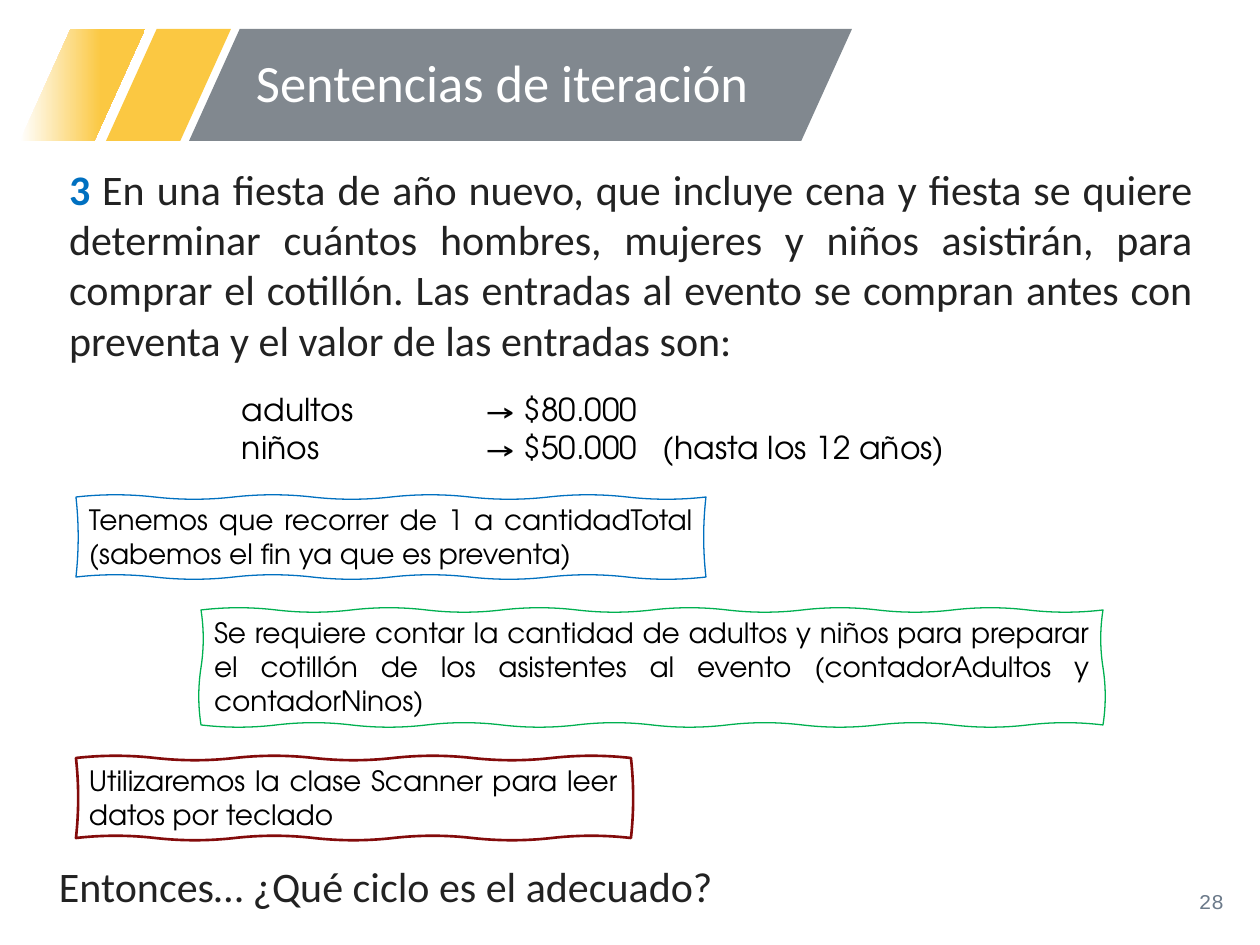
"""Builds the slide on iteration statements."""
from lxml import etree
from pptx import Presentation
from pptx.dml.color import RGBColor
from pptx.enum.shapes import MSO_SHAPE
from pptx.enum.text import MSO_ANCHOR, PP_ALIGN
from pptx.oxml.ns import qn
from pptx.util import Pt

PX = 914400 / 126
PARALLELOGRAM = MSO_SHAPE.PARALLELOGRAM
TOP, MIDDLE = MSO_ANCHOR.TOP, MSO_ANCHOR.MIDDLE
LEFT, RIGHT, JUSTIFY = PP_ALIGN.LEFT, PP_ALIGN.RIGHT, PP_ALIGN.JUSTIFY
SANS, GEOMETRIC, MONO = "Calibri", "TeX Gyre Adventor", "Courier New"
COLORS = {
    "gold": "FBC842", "gray": "81888F", "white": "FFFFFF", "number": "6C7A8A",
    "text": "222222", "black": "000000", "blue": "0070C0", "green": "00B050",
    "red": "830B0B",
}
NOTES = [
    ((76, 497, 630, 80), "blue", 0.75,
     "Tenemos que recorrer de 1 a cantidadTotal (sabemos el fin ya que es preventa)"),
    ((201, 610, 902, 115), "green", 0.75,
     "Se requiere contar la cantidad de adultos y niños para preparar el cotillón "
     "de los asistentes al evento (contadorAdultos y contadorNinos)"),
    ((76, 758, 555, 80), "red", 1.5,
     "Utilizaremos la clase Scanner para leer datos por teclado"),
]
PRICES = ["\tadultos\t→ $80.000", "\tniños\t→ $50.000\t(hasta los 12 años)"]
PRICE_TABS = [173, 416, 594]


def px(value):
    """Turn pixels into EMU."""
    return round(value * PX)


def color(name):
    """Look up a named colour."""
    return RGBColor.from_string(COLORS[name])


def style(target, font, size, name, bold=False):
    """Format a run or a paragraph."""
    target.font.name = font
    target.font.size = Pt(size)
    target.font.color.rgb = color(name)
    target.font.bold = bold


def set_frame(frame, anchor):
    """Set wrapping, anchor and margins of a text frame."""
    frame.word_wrap = True
    frame.vertical_anchor = anchor
    frame.margin_left = frame.margin_right = px(13)
    frame.margin_top = frame.margin_bottom = px(6)


def add_text(page, place, text, font, size, name, align=LEFT, anchor=TOP):
    """Add a text box with one paragraph and return both."""
    box = page.shapes.add_textbox(*map(px, place))
    set_frame(box.text_frame, anchor)
    para = box.text_frame.paragraphs[0]
    para.text = text
    para.alignment = align
    style(para.runs[0], font, size, name)
    return box, para


def add_banner_part(page, left, width, name, fades=False):
    """Add one slanted part of the title banner."""
    part = page.shapes.add_shape(PARALLELOGRAM, px(left), px(29), px(width), px(112))
    part.adjustments[0] = 0.453
    part.shadow.inherit = False
    part.line.fill.background()
    if fades:
        part.fill.gradient()
        part.fill.gradient_angle = 0
        start, end = part.fill.gradient_stops
        start.color.rgb, end.color.rgb = color("white"), color(name)
        start.position, end.position = 0, 0.65
    else:
        part.fill.solid()
        part.fill.fore_color.rgb = color(name)


def edge_points(start, end):
    """Split an edge into equal steps of about 75 pixels."""
    (x1, y1), (x2, y2) = start, end
    count = max(1, round((abs(x2 - x1) + abs(y2 - y1)) / 75))
    return [(px(x1 + (x2 - x1) * index / count), px(y1 + (y2 - y1) * index / count))
            for index in range(1, count + 1)]


def bend_lines(shape, height):
    """Turn the straight segments of an outline into alternating waves."""
    outline = shape.element.find(".//" + qn("a:path"))
    x1, y1 = (int(value) for value in outline.find(".//" + qn("a:pt")).attrib.values())
    for index, segment in enumerate(outline.findall(qn("a:lnTo"))):
        x2, y2 = (int(value) for value in segment[0].attrib.values())
        shift = px(height if index % 2 else -height)
        dx, dy = (0, shift) if abs(x2 - x1) > abs(y2 - y1) else (shift, 0)
        segment.tag = qn("a:cubicBezTo")
        for place, part in enumerate((1 / 3, 2 / 3)):
            control = etree.Element(qn("a:pt"))
            control.set("x", str(round(x1 + (x2 - x1) * part + dx)))
            control.set("y", str(round(y1 + (y2 - y1) * part + dy)))
            segment.insert(place, control)
        x1, y1 = x2, y2


def add_note(page, place, name, weight, text):
    """Add a note with a hand-drawn outline."""
    left, top, width, height = place
    right, bottom = left + width, top + height
    corners = [(left, top), (right, top), (right, bottom), (left, bottom)]
    points = []
    for start, end in zip(corners, corners[1:] + corners[:1]):
        points += edge_points(start, end)
    builder = page.shapes.build_freeform(px(left), px(top))
    builder.add_line_segments(points, close=True)
    note = builder.convert_to_shape()
    bend_lines(note, 3)
    note.shadow.inherit = False
    note.fill.background()
    note.line.color.rgb = color(name)
    note.line.width = Pt(weight)
    set_frame(note.text_frame, TOP)
    para = note.text_frame.paragraphs[0]
    para.text = text
    para.alignment = JUSTIFY
    style(para.runs[0], GEOMETRIC, 16, "black")


def add_tabs(para, stops):
    """Give a paragraph left tab stops."""
    tabs = etree.SubElement(para._p.get_or_add_pPr(), qn("a:tabLst"))
    for stop in stops:
        etree.SubElement(tabs, qn("a:tab"), pos=str(px(stop)), algn="l")


def add_problem(page):
    """Add the problem statement with its price list."""
    box, para = add_text(page, (56, 157, 1150, 407), "3", SANS, 24, "blue", JUSTIFY)
    para.runs[0].font.bold = True
    span = para.add_run()
    span.text = (" En una fiesta de año nuevo, que incluye cena y fiesta se quiere "
                 "determinar cuántos hombres, mujeres y niños asistirán, para comprar "
                 "el cotillón. Las entradas al evento se compran antes con preventa y "
                 "el valor de las entradas son:")
    style(span, SANS, 24, "text")
    for index, text in enumerate(PRICES):
        line = box.text_frame.add_paragraph()
        line.text = text
        add_tabs(line, PRICE_TABS)
        line.space_before = Pt(0 if index else 14.5)
        style(line.runs[0], GEOMETRIC, 18, "black")


def main():
    """Build and save the deck."""
    deck = Presentation()
    deck.slide_width, deck.slide_height = px(1260), px(945)
    page = deck.slides.add_slide(deck.slide_layouts[6])
    add_banner_part(page, 106, 125, "gold")
    add_banner_part(page, 20, 125, "gold", fades=True)
    add_banner_part(page, 189, 663, "gray")
    add_text(page, (953, 876, 284, 50), "28", MONO, 12, "number", RIGHT, MIDDLE)
    title = add_text(page, (243, 30, 591, 112), "Sentencias de iteración",
                     SANS, 30, "white", anchor=MIDDLE)[1]
    title.line_spacing = 0.9
    add_problem(page)
    add_text(page, (46, 855, 915, 64), "Entonces… ¿Qué ciclo es el adecuado?",
             SANS, 24, "text", JUSTIFY)
    for note in NOTES:
        add_note(page, *note)
    deck.save("out.pptx")


if __name__ == "__main__":
    main()
